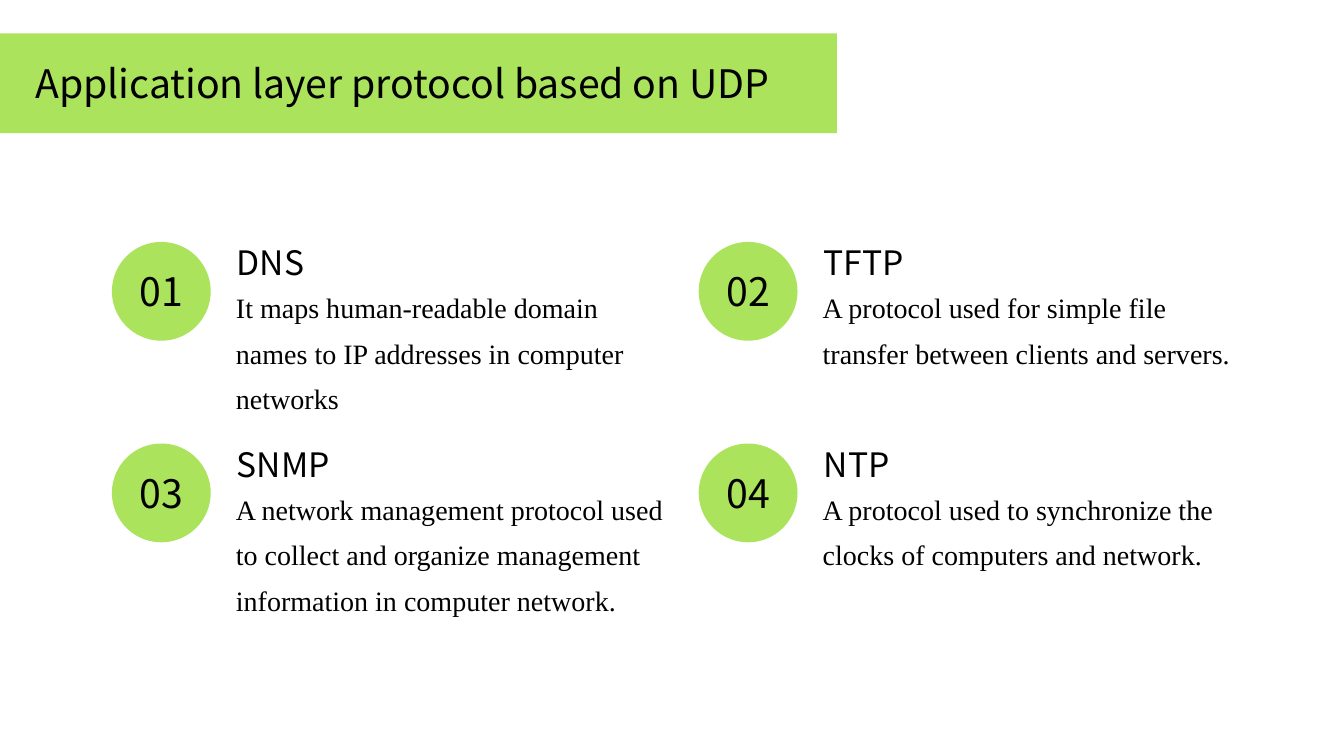
from pptx import Presentation
from pptx.dml.color import RGBColor
from pptx.enum import shapes, text
from pptx.util import Inches, Pt

GREEN = RGBColor(0xAB, 0xE3, 0x5D)
BLACK = RGBColor(0x00, 0x00, 0x00)
SANS = "Noto Sans CJK JP"
SERIF = "Times New Roman"
TOP, MIDDLE = text.MSO_ANCHOR.TOP, text.MSO_ANCHOR.MIDDLE

PROTOCOLS = [
    ("DNS", "It maps human-readable domain names to IP addresses in computer networks", 4.35, 1.27),
    ("TFTP", "A protocol used for simple file transfer between clients and servers.", 4.07, 0.83),
    ("SNMP", "A network management protocol used to collect and organize management "
             "information in computer network.", 4.33, 1.27),
    ("NTP", "A protocol used to synchronize the clocks of computers and network.", 3.92, 0.83),
]


def write(shape, wording, size, font=SANS, anchor=MIDDLE,
          align=text.PP_ALIGN.LEFT, spacing=None):
    frame = shape.text_frame
    frame_format = {"word_wrap": True, "vertical_anchor": anchor, "margin_left": 0,
                    "margin_top": 0, "margin_right": 0, "margin_bottom": 0}
    for name, value in frame_format.items():
        setattr(frame, name, value)
    paragraph = frame.paragraphs[0]
    paragraph.alignment = align
    if spacing:
        paragraph.line_spacing = spacing
    run = paragraph.add_run()
    run.text = wording
    for name, value in {"name": font, "size": Pt(size)}.items():
        setattr(run.font, name, value)
    run.font.color.rgb = BLACK


def add_green(slide, kind, left, top, width, height):
    shape = slide.shapes.add_shape(kind, *map(Inches, (left, top, width, height)))
    shape.shadow.inherit = False
    shape.fill.solid()
    shape.fill.fore_color.rgb = GREEN
    shape.line.fill.background()
    return shape


def add_label(slide, left, top, width, height, wording, size, **style):
    label = slide.shapes.add_textbox(*map(Inches, (left, top, width, height)))
    write(label, wording, size, **style)


def add_title(slide, left, top, width, height, wording):
    add_green(slide, shapes.MSO_SHAPE.RECTANGLE, left, top, width, height)
    add_label(slide, left + 0.35, top + 0.26, 8.71, 0.47, wording, 28)


def add_protocol(slide, left, top, number, name, summary, width, height):
    # Numbered circle
    badge = add_green(slide, shapes.MSO_SHAPE.OVAL, left, top, 0.98, 0.98)
    write(badge, f"{number:02}", 28, align=text.PP_ALIGN.CENTER)
    # Name and summary
    add_label(slide, left + 1.24, top, 2.36, 0.4, name, 24)
    add_label(slide, left + 1.23, top + 0.37, width, height, summary, 20,
              font=SERIF, anchor=TOP, spacing=1.35)


def main():
    deck = Presentation()
    deck.slide_width, deck.slide_height = Inches(13.33), Inches(7.5)
    slide = deck.slides.add_slide(deck.slide_layouts[6])

    # Title band
    add_title(slide, 0, 0.33, 8.3, 0.99, "Application layer protocol based on UDP")

    # Two-by-two grid of protocols
    for index, protocol in enumerate(PROTOCOLS):
        row, column = divmod(index, 2)
        add_protocol(slide, 1.11 + 5.82 * column, 2.4 + 2 * row, index + 1, *protocol)

    deck.save("out.pptx")


if __name__ == "__main__":
    main()
